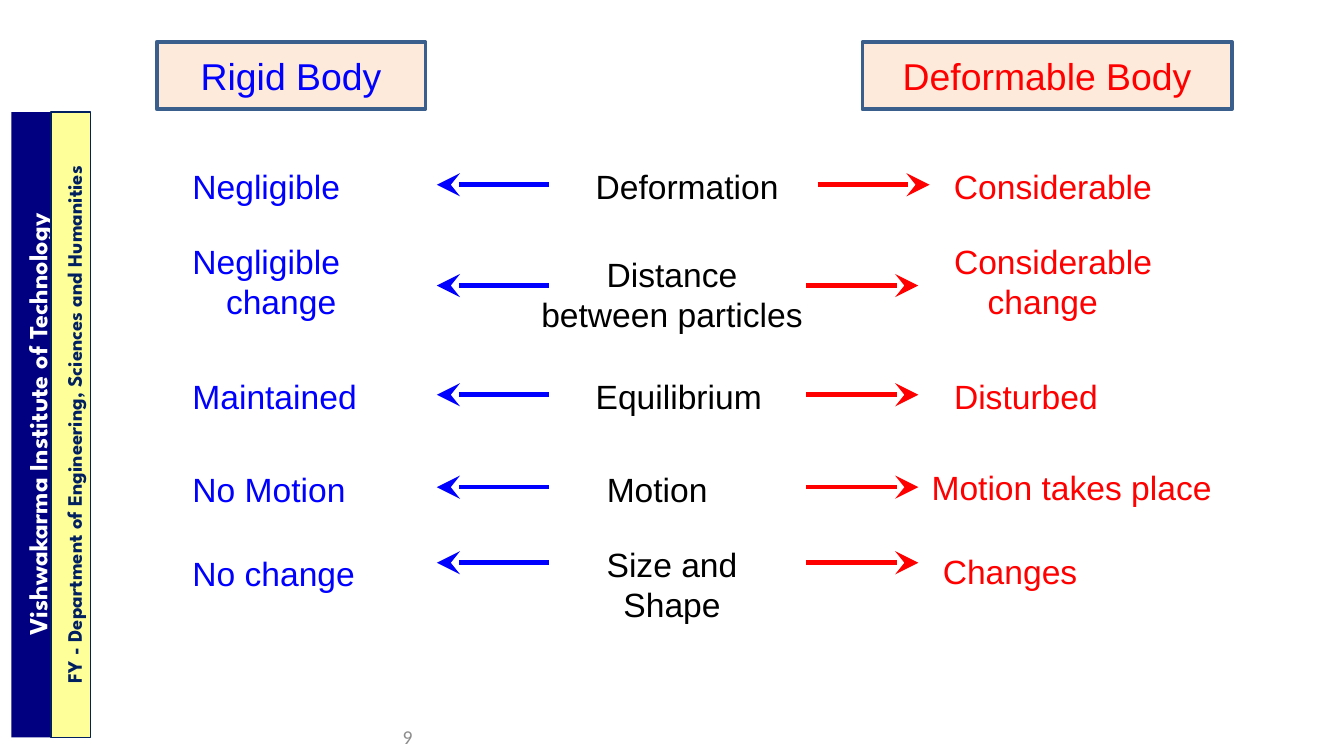
from lxml.etree import SubElement
from pptx import Presentation
from pptx.dml.color import RGBColor
from pptx.enum.shapes import MSO_CONNECTOR, MSO_SHAPE
from pptx.enum.text import MSO_ANCHOR, PP_ALIGN
from pptx.oxml.ns import qn
from pptx.util import Pt

BLUE = RGBColor(0x00, 0x00, 0xFF)
RED = RGBColor(0xFF, 0x00, 0x00)
BLACK = RGBColor(0x00, 0x00, 0x00)
WHITE = RGBColor(0xFF, 0xFF, 0xFF)
GRAY = RGBColor(0x8C, 0x8C, 0x8C)
PEACH = RGBColor(0xFD, 0xEA, 0xDA)
STEEL = RGBColor(0x3A, 0x5F, 0x8C)
NAVY = RGBColor(0x00, 0x00, 0x80)
YELLOW = RGBColor(0xFF, 0xFF, 0x99)
INK = RGBColor(0x00, 0x20, 0x60)

LEFT, MID, FULL = PP_ALIGN.LEFT, PP_ALIGN.CENTER, PP_ALIGN.JUSTIFY
ARROW = 60

HEADERS = [
    ("Rigid Body", BLUE, 84, 144),
    ("Deformable Body", RED, 462, 198),
]

ROWS = [
    (76.5, 22.5, 438, [
        ("Negligible", BLUE, 96, 0, 126, 36, FULL, 1.5),
        ("Deformation", BLACK, 312, 0, 156, 36, FULL, 1.5),
        ("Considerable", RED, 504, 0, 174, 36, FULL, 1.5)]),
    (126, 27, 432, [
        ("Negligible change", BLUE, 96, 0, 132, 49.5, FULL, 1),
        ("Distance\nbetween particles", BLACK, 240, 9, 240, 45, MID, 1),
        ("Considerable change", RED, 504, 0, 162, 49.5, FULL, 1)]),
    (189, 22.5, 432, [
        ("Maintained", BLUE, 96, 0, 156, 36, FULL, 1.5),
        ("Equilibrium", BLACK, 312, 0, 156, 36, FULL, 1.5),
        ("Disturbed", RED, 504, 0, 156, 36, FULL, 1.5)]),
    (238.5, 22.5, 432, [
        ("No Motion", BLUE, 96, 0, 138, 36, FULL, 1.5),
        ("Motion", BLACK, 318, 0, 114, 36, FULL, 1.5),
        ("Motion takes place", RED, 492, 4.5, 216, 36, LEFT, 1)]),
    (283.5, 18, 432, [
        ("No change", BLUE, 96, 0, 138, 36, FULL, 1.5),
        ("Size and\nShape", BLACK, 276, 4.5, 168, 49.5, MID, 1),
        ("Changes", RED, 498, 4.5, 126, 36, LEFT, 1)]),
]


def write(shape, text, size, color, face="Arial", align=MID, bold=False):
    """Put styled, vertically centred text into a shape."""
    frame = shape.text_frame
    frame.word_wrap = True
    frame.vertical_anchor = MSO_ANCHOR.MIDDLE
    frame.text = text
    for para in frame.paragraphs:
        para.alignment = align
        for run in para.runs:
            run.font.name = face
            run.font.size = Pt(size)
            run.font.bold = bold
            run.font.color.rgb = color


def add_box(slide, left, top, width, height, fill, line=None, weight=1):
    """Add a filled rectangle with an optional outline."""
    box = slide.shapes.add_shape(
        MSO_SHAPE.RECTANGLE, Pt(left), Pt(top), Pt(width), Pt(height))
    box.shadow.inherit = False
    box.fill.solid()
    box.fill.fore_color.rgb = fill
    if line is None:
        box.line.fill.background()
    else:
        box.line.color.rgb = line
        box.line.width = Pt(weight)
    return box


def add_head(slide, text, color, left, top, width, height):
    """Add the heading box of one column."""
    box = add_box(slide, left, top, width, height, PEACH, STEEL, 2)
    write(box, text, 20, color)


def add_label(slide, text, color, left, top, width, height, align, spacing):
    """Add one label with a hanging indent."""
    box = slide.shapes.add_textbox(Pt(left), Pt(top), Pt(width), Pt(height))
    write(box, text, 18, color, align=align)
    for para in box.text_frame.paragraphs:
        para.line_spacing = spacing
        props = para._p.get_or_add_pPr()
        props.set("marL", str(Pt(18)))
        props.set("indent", str(-Pt(18)))


def add_arrow(slide, start, end, y, color):
    """Add a level arrow that points to its end."""
    arrow = slide.shapes.add_connector(
        MSO_CONNECTOR.STRAIGHT, Pt(start), Pt(y), Pt(end), Pt(y))
    arrow.line.color.rgb = color
    arrow.line.width = Pt(2.5)
    SubElement(arrow.line._get_or_add_ln(), qn("a:tailEnd"),
               type="stealth", w="lg", len="lg")
    SubElement(arrow._element.spPr, qn("a:effectLst"))


def add_row(slide, top, drop, start, labels):
    """Add one compared property with its labels and two arrows."""
    for text, color, left, shift, *rest in labels:
        add_label(slide, text, color, left, top + shift, *rest)
    add_arrow(slide, 234 + ARROW, 234, top + drop, BLUE)
    add_arrow(slide, start, start + ARROW, top + drop, RED)


def add_band(slide, text, size, color, left, top, width, height, fill, line):
    """Add an upright band whose text reads from bottom to top."""
    shift = (height - width) / 2
    band = add_box(slide, left - shift, top + shift, height, width,
                   fill, line, 0.75)
    band.rotation = 270
    write(band, text, size, color, "League Spartan", bold=True)
    band.text_frame.margin_top = Pt(3)
    band.text_frame.margin_bottom = 0


def add_number(slide, text, left, top, width, height):
    """Add the page number."""
    box = slide.shapes.add_textbox(Pt(left), Pt(top), Pt(width), Pt(height))
    write(box, text, 10.5, GRAY, "Calibri", PP_ALIGN.RIGHT)


def main():
    """Build the slide and save it."""
    deck = Presentation()
    deck.slide_width, deck.slide_height = Pt(720), Pt(405)
    slide = deck.slides.add_slide(deck.slide_layouts[6])
    for text, color, left, width in HEADERS:
        add_head(slide, text, color, left, 22.5, width, 36)
    for row in ROWS:
        add_row(slide, *row)
    add_band(slide, "Vishwakarma Institute of Technology", 14, WHITE,
             6.1, 60, 24.5, 335, NAVY, None)
    add_band(slide, "FY - Department of Engineering, Sciences and Humanities",
             11, INK, 27.4, 60, 21, 335, YELLOW, INK)
    add_number(slide, "9", 72, 384, 156, 21.5)
    deck.save("out.pptx")


if __name__ == "__main__":
    main()
